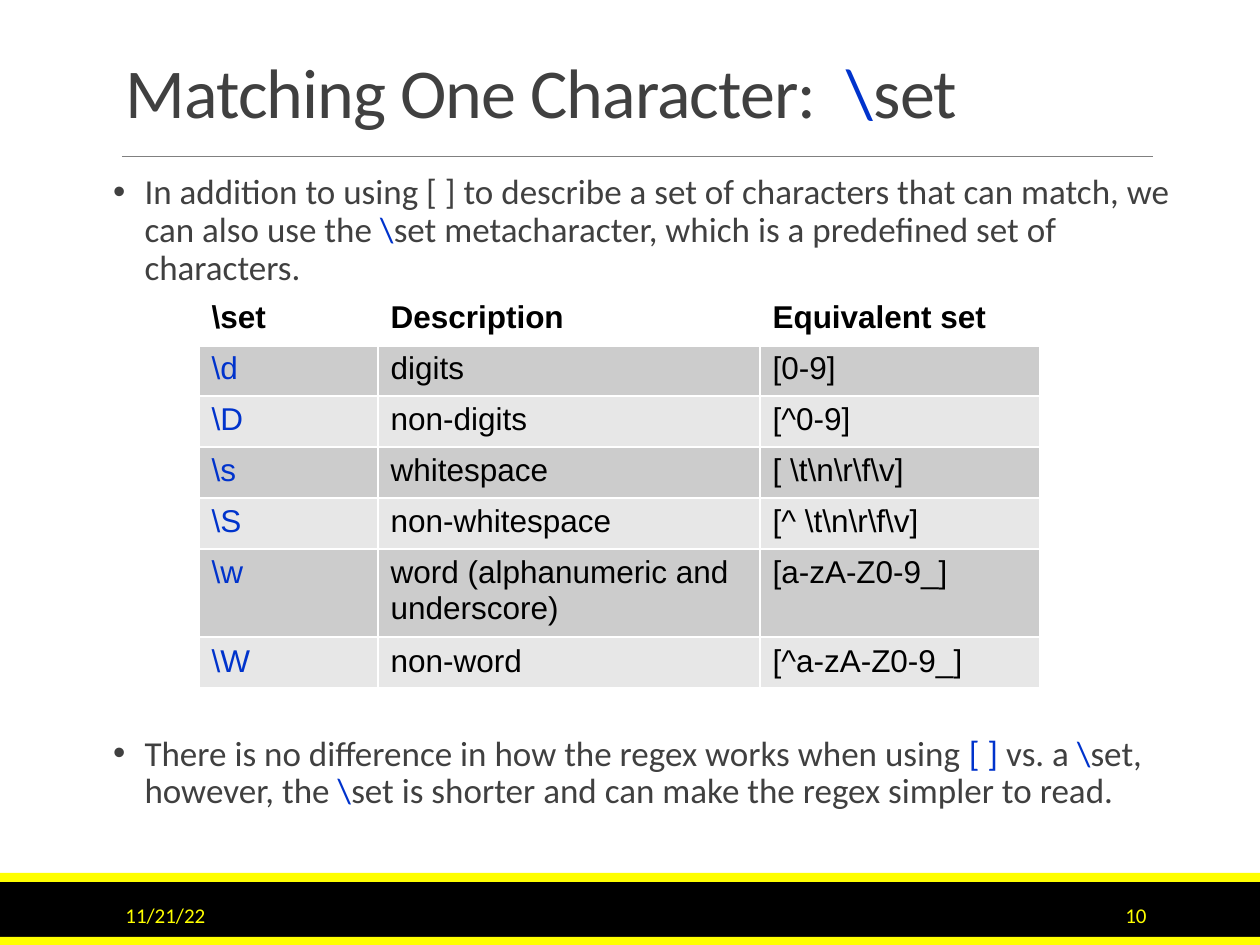
from typing import NamedTuple

import pptx
import pptx.dml.color
import pptx.enum.shapes
import pptx.enum.text
import pptx.oxml
import pptx.oxml.ns
import pptx.util

EMU_PER_PX = 914400 // 126
COLORS = {
    "text": "404040",
    "accent": "0033CC",
    "rule": "808080",
    "black": "000000",
    "yellow": "FFFF00",
    "white": "FFFFFF",
    "dark_band": "CCCCCC",
    "light_band": "E7E7E7",
}


class Box(NamedTuple):
    left: int
    top: int
    width: int
    height: int


class Bar(NamedTuple):
    box: Box
    color: str


class Label(NamedTuple):
    box: Box
    text: str
    align: pptx.enum.text.PP_ALIGN


class Bullet(NamedTuple):
    runs: list[tuple[str, str]]
    before: float


SLIDE = Box(0, 0, 1260, 945)
BARS = [
    Bar(Box(0, 882, 1260, 63), "black"),
    Bar(Box(0, 873, 1260, 9), "yellow"),
    Bar(Box(0, 937, 1260, 8), "yellow"),
]
LABELS = [
    Label(Box(113, 890, 256, 50), "11/21/22", pptx.enum.text.PP_ALIGN.LEFT),
    Label(Box(1023, 890, 136, 50), "10", pptx.enum.text.PP_ALIGN.RIGHT),
]
TITLE = [("Matching One Character:  ", "text"), ("\\", "accent"), ("set", "text")]
BULLETS = [
    Bullet([
        ("In addition to using [ ] to describe a set of characters that can match, "
         "we can also use the ", "text"),
        ("\\", "accent"),
        ("set metacharacter, which is a predefined set of characters.", "text"),
    ], 2),
    Bullet([
        ("There is no difference in how the regex works when using ", "text"),
        ("[ ]", "accent"),
        (" vs. a ", "text"),
        ("\\", "accent"),
        ("set, however, the ", "text"),
        ("\\", "accent"),
        ("set is shorter and can make the regex simpler to read.", "text"),
    ], 254),
]
COLUMNS = [179, 382, 280]
ROW_HEIGHT, TALL_ROW_HEIGHT, TALL_ROW = 51, 83, 5
SETS = [
    (r"\set", "Description", "Equivalent set"),
    (r"\d", "digits", "[0-9]"),
    (r"\D", "non-digits", "[^0-9]"),
    (r"\s", "whitespace", r"[ \t\n\r\f\v]"),
    (r"\S", "non-whitespace", r"[^ \t\n\r\f\v]"),
    (r"\w", "word (alphanumeric and underscore)", "[a-zA-Z0-9_]"),
    (r"\W", "non-word", "[^a-zA-Z0-9_]"),
]


def px(n: int) -> int:
    return n * EMU_PER_PX


def rgb(name: str) -> pptx.dml.color.RGBColor:
    return pptx.dml.color.RGBColor.from_string(COLORS[name])


def place(sp, box: Box) -> None:
    sp.left, sp.top, sp.width, sp.height = map(px, box)


def set_font(font, name: str, size: float, color: str | None = None) -> None:
    font.name, font.size = name, pptx.util.Pt(size)
    if color:
        font.color.rgb = rgb(color)


def add_runs(p, runs: list[tuple[str, str]], spacing: int = 0) -> None:
    for text, color in runs:
        r = p.add_run()
        r.text = text
        r.font.color.rgb = rgb(color)
        if spacing:
            r._r.get_or_add_rPr().set("spc", str(spacing))


def add_bar(shapes, bar: Bar) -> None:
    sp = shapes.add_shape(pptx.enum.shapes.MSO_SHAPE.RECTANGLE, *map(px, bar.box))
    sp.shadow.inherit = False
    sp.fill.solid()
    sp.fill.fore_color.rgb = rgb(bar.color)
    sp.line.fill.background()


def add_rule(shapes, left: int, right: int, y: int) -> None:
    line = shapes.add_connector(
        pptx.enum.shapes.MSO_CONNECTOR.STRAIGHT, px(left), px(y), px(right), px(y))
    line.line.color.rgb = rgb("rule")
    line.line.width = pptx.util.Pt(0.5)
    line._element.spPr.append(pptx.oxml.parse_xml(
        f"<a:effectLst {pptx.oxml.ns.nsdecls('a')}/>"))


def add_label(shapes, label: Label) -> None:
    tf = shapes.add_textbox(*map(px, label.box)).text_frame
    tf.word_wrap = True
    tf.vertical_anchor = pptx.enum.text.MSO_ANCHOR.MIDDLE
    p = tf.paragraphs[0]
    p.text, p.alignment = label.text, label.align
    set_font(p.font, "Calibri", 12, "yellow")


def fill_title(sp) -> None:
    place(sp, Box(113, 39, 1040, 100))
    tf = sp.text_frame
    tf.auto_size = pptx.enum.text.MSO_AUTO_SIZE.NONE
    tf.vertical_anchor = pptx.enum.text.MSO_ANCHOR.BOTTOM
    p = tf.paragraphs[0]
    p.alignment, p.line_spacing = pptx.enum.text.PP_ALIGN.LEFT, 0.85
    set_font(p.font, "Calibri", 40)
    add_runs(p, TITLE, spacing=-50)


def fill_body(sp) -> None:
    place(sp, Box(113, 168, 1062, 703))
    tf = sp.text_frame
    tf.auto_size = pptx.enum.text.MSO_AUTO_SIZE.NONE
    tf.margin_left = tf.margin_right = 0
    for i, bullet in enumerate(BULLETS):
        p = tf.add_paragraph() if i else tf.paragraphs[0]
        p.line_spacing = 0.9
        p.space_before = pptx.util.Pt(bullet.before)
        p.space_after = pptx.util.Pt(2)
        set_font(p.font, "Calibri", 20, "text")
        indent = pptx.util.Inches(0.25)
        pPr = p._p.get_or_add_pPr()
        pPr.set("marL", str(indent))
        pPr.set("indent", str(-indent))
        add_runs(p, bullet.runs)


def set_borders(cell, bottom: float) -> None:
    tcPr = cell._tc.get_or_add_tcPr()
    widths = {"lnL": 1, "lnR": 1, "lnT": 1, "lnB": bottom}
    for i, (tag, width) in enumerate(widths.items()):
        tcPr.insert(i, pptx.oxml.parse_xml(
            f'<a:{tag} {pptx.oxml.ns.nsdecls("a")} w="{pptx.util.Pt(width)}">'
            f'<a:solidFill><a:srgbClr val="{COLORS["white"]}"/></a:solidFill></a:{tag}>'))


def add_set_table(shapes) -> None:
    heights = [TALL_ROW_HEIGHT if i == TALL_ROW else ROW_HEIGHT for i in range(len(SETS))]
    box = Box(199, 294, sum(COLUMNS), sum(heights))
    table = shapes.add_table(len(SETS), len(COLUMNS), *map(px, box)).table
    table.horz_banding = False
    for column, width in zip(table.columns, COLUMNS):
        column.width = px(width)
    for i, (row, height, texts) in enumerate(zip(table.rows, heights, SETS)):
        row.height = px(height)
        for j, (cell, text) in enumerate(zip(row.cells, texts)):
            if i:
                cell.fill.solid()
                cell.fill.fore_color.rgb = rgb("dark_band" if i % 2 else "light_band")
            else:
                cell.fill.background()
            set_borders(cell, 1 if i else 3)
            p = cell.text_frame.paragraphs[0]
            p.text = text
            set_font(p.font, "Arial", 18, "accent" if i and j == 0 else "black")
            p.font.bold = i == 0


prs = pptx.Presentation()
prs.slide_width, prs.slide_height = px(SLIDE.width), px(SLIDE.height)
slide = prs.slides.add_slide(prs.slide_layouts[1])
for bar in BARS:
    add_bar(slide.shapes, bar)
add_rule(slide.shapes, 122, 1153, 156)
fill_title(slide.shapes.title)
fill_body(slide.placeholders[1])
for label in LABELS:
    add_label(slide.shapes, label)
add_set_table(slide.shapes)
prs.save("out.pptx")
